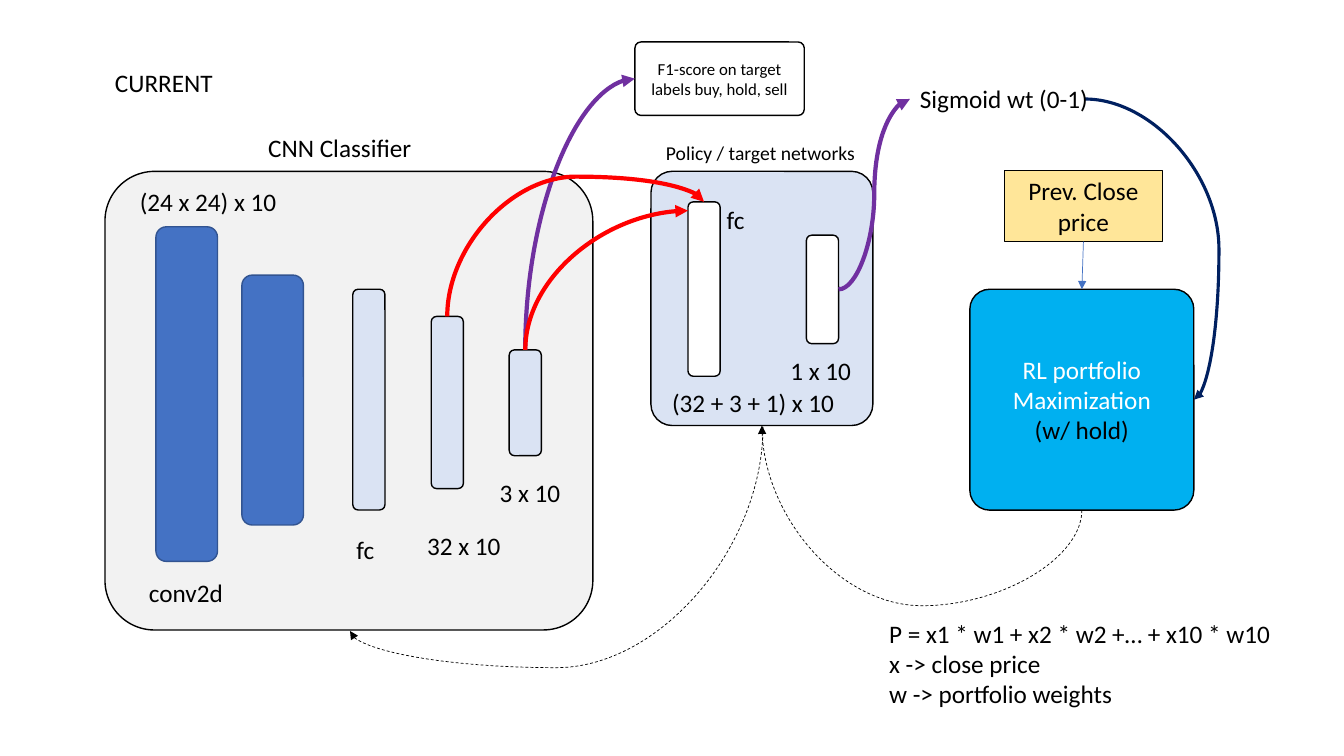
from lxml import etree
from pptx import Presentation
from pptx import util as u
from pptx.dml import color
from pptx.enum import dml, shapes, text
from pptx.oxml import ns

BLACK, WHITE, PALE_BLUE, BLUE = "000000", "FFFFFF", "DAE3F3", "4472C4"
hex_color = color.RGBColor.from_string


def write(shape, lines, size, alignment):
    frame = shape.text_frame
    for index, (line, ink) in enumerate(lines):
        paragraph = frame.add_paragraph() if index else frame.paragraphs[0]
        paragraph.text = line
        paragraph.alignment = alignment
        paragraph.font.name = "Calibri"
        paragraph.font.size = u.Pt(size)
        paragraph.font.color.rgb = hex_color(ink)


def style_line(connector, ink, width):
    connector.line.color.rgb = hex_color(ink)
    connector.line.width = u.Pt(width)
    properties = connector._element.spPr
    etree.SubElement(properties, ns.qn("a:effectLst"))
    return properties


presentation = Presentation()
presentation.slide_width = u.Pt(960)
presentation.slide_height = u.Pt(540)
slide = presentation.slides.add_slide(presentation.slide_layouts[6])

boxes = {}
for name, left, top, width, height, corner, fill, outline, weight in [
    ("classifier", 75, 122.4, 348.5, 327.6, 0.108, "F2F2F2", BLACK, 1),
    ("conv 1", 111.4, 162, 44, 239, 0.167, BLUE, "325491", 1),
    ("conv 2", 172.8, 196.5, 44, 178.5, 0.167, BLUE, "325491", 1),
    ("fc", 252, 206.6, 23, 157.7, 0.167, PALE_BLUE, BLACK, 1),
    ("fc 32", 308, 226, 23, 123, 0.167, PALE_BLUE, BLACK, 1),
    ("fc 3", 363.7, 249.9, 23, 75.6, 0.167, PALE_BLUE, BLACK, 1),
    ("f1 score", 453.5, 30, 121, 52.5, 0.084, None, BLACK, 1),
    ("policy", 465, 122.4, 158.5, 181.6, 0.096, PALE_BLUE, BLACK, 1),
    ("policy fc", 491.4, 144.2, 23, 124.6, 0.167, WHITE, BLACK, 1),
    ("policy output", 576, 168, 23, 77.5, 0.167, WHITE, BLACK, 1),
    ("portfolio", 692.8, 206.6, 160, 157.8, 0.09, "00B0F0", BLACK, 1),
    ("close price", 717.4, 121.6, 113, 51, None, "FFE699", BLACK, 0.75),
]:
    kind = shapes.MSO_SHAPE.ROUNDED_RECTANGLE if corner else shapes.MSO_SHAPE.RECTANGLE
    box = slide.shapes.add_shape(kind, u.Pt(left), u.Pt(top), u.Pt(width), u.Pt(height))
    box.shadow.inherit = False
    if corner:
        box.adjustments[0] = corner
    if fill:
        box.fill.solid()
        box.fill.fore_color.rgb = hex_color(fill)
    else:
        box.fill.background()
    box.line.color.rgb = hex_color(outline)
    box.line.width = u.Pt(weight)
    box.text_frame.vertical_anchor = text.MSO_ANCHOR.MIDDLE
    boxes[name] = box

center = text.PP_ALIGN.CENTER
write(boxes["f1 score"], [("F1-score on target labels buy, hold, sell", BLACK)], 12, center)
write(boxes["portfolio"], [("RL portfolio Maximization", WHITE), ("(w/ hold)", BLACK)], 18, center)
write(boxes["close price"], [("Prev. Close price", BLACK)], 18, center)

price_arrow = slide.shapes.add_connector(
    shapes.MSO_CONNECTOR.STRAIGHT, u.Pt(773.9), u.Pt(172.6), u.Pt(772.8), u.Pt(206.6))
price_arrow.begin_connect(boxes["close price"], 2)
price_arrow.end_connect(boxes["portfolio"], 0)
style_line(price_arrow, BLUE, 0.5)
arrows = [price_arrow]

for x1, y1, x2, y2, vertical, bend, ink, weight in [
    (375.2, 249.9, 453.5, 56.25, True, None, "7030A0", 3),
    (375.2, 249.9, 491.4, 150.5, True, None, "FF0000", 3),
    (319.5, 226, 502.9, 144.2, True, 1.22, "FF0000", 3),
    (599, 206.75, 650, 70.75, False, 0.5, "7030A0", 3),
    (772.8, 364.4, 544.25, 304, True, -1.13, BLACK, 0.5),
    (545, 305, 250, 450.7, True, 1.18, BLACK, 0.5),
    (775, 70.75, 852.8, 285.5, False, 1.23, "002060", 2.25),
]:
    if vertical:
        middle_x, middle_y = (x1 + x2) / 2, (y1 + y2) / 2
        half_width, half_height = (y2 - y1) / 2, (x1 - x2) / 2
        x1, x2 = middle_x - half_width, middle_x + half_width
        y1, y2 = middle_y - half_height, middle_y + half_height
    curve = slide.shapes.add_connector(
        shapes.MSO_CONNECTOR.CURVE, u.Pt(x1), u.Pt(y1), u.Pt(x2), u.Pt(y2))
    properties = style_line(curve, ink, weight)
    if vertical:
        properties.find(ns.qn("a:xfrm")).set("rot", "5400000")
    geometry = properties.find(ns.qn("a:prstGeom"))
    if bend is None:
        geometry.set("prst", "curvedConnector2")
    else:
        guide = etree.SubElement(geometry.find(ns.qn("a:avLst")), ns.qn("a:gd"))
        guide.set("name", "adj1")
        guide.set("fmla", f"val {round(bend * 100000)}")
    if ink == BLACK:
        curve.line.dash_style = dml.MSO_LINE.DASH
    arrows.append(curve)

for arrow in arrows:
    line = arrow._element.spPr.find(ns.qn("a:ln"))
    etree.SubElement(line, ns.qn("a:tailEnd")).set("type", "triangle")

for left, top, width, size, lines in [
    (75, 44.5, 85, 18, ["CURRENT"]),
    (184.5, 91, 118, 18, ["CNN Classifier"]),
    (92.8, 129.5, 118, 18, ["(24 x 24) x 10"]),
    (99.3, 409, 68, 18, ["conv2d"]),
    (247.5, 378, 27, 18, ["fc"]),
    (298, 375.6, 68, 18, ["32 x 10"]),
    (349.8, 337.4, 58, 18, ["3 x 10"]),
    (468.6, 97, 150.5, 14, ["Policy / target networks"]),
    (512, 142.4, 27, 18, ["fc"]),
    (557.5, 250, 58, 18, ["1 x 10"]),
    (473, 273, 132, 18, ["(32 + 3 + 1) x 10"]),
    (650, 56, 136, 18, ["Sigmoid wt (0-1)"]),
    (628, 438, 291.5, 18, ["P = x1 * w1 + x2 * w2 +… + x10 * w10",
                           "x -> close price", "w -> portfolio weights"]),
]:
    height = 7.2 + 1.2 * size * len(lines)
    label = slide.shapes.add_textbox(u.Pt(left), u.Pt(top), u.Pt(width), u.Pt(height))
    label.text_frame.word_wrap = len(lines) > 1
    label.text_frame.auto_size = text.MSO_AUTO_SIZE.SHAPE_TO_FIT_TEXT
    write(label, [(line, BLACK) for line in lines], size, text.PP_ALIGN.LEFT)

presentation.save("out.pptx")
